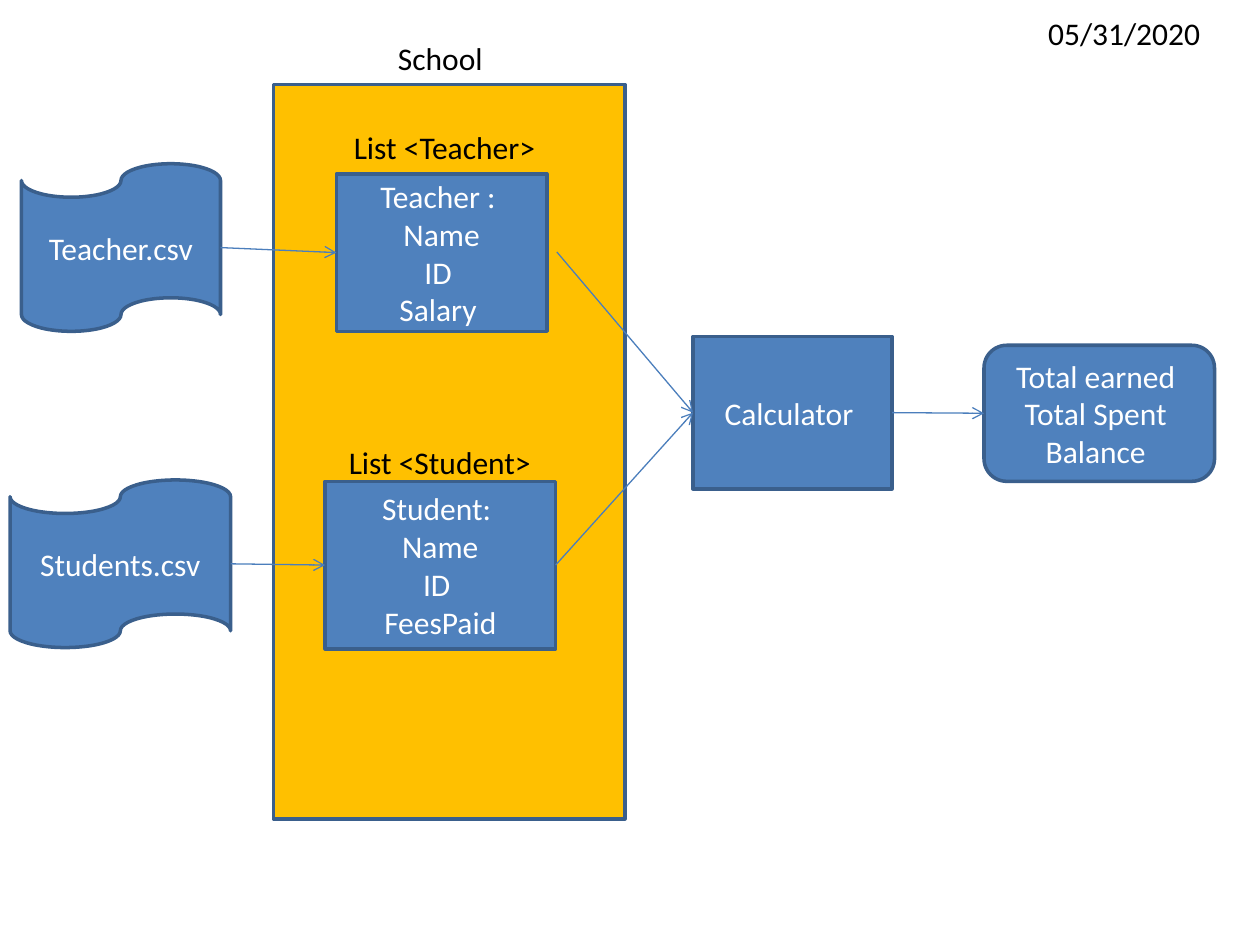
from lxml import etree
from pptx import Presentation, util as u
from pptx.dml.color import RGBColor
from pptx.enum import shapes, text
from pptx.oxml.ns import qn

BLUE, EDGE, WIRE, GOLD = "4F81BD", "3A5F8C", "4B7EBC", "FFC000"
KIND = shapes.MSO_SHAPE
TOP, LEFT, BOTTOM, RIGHT = range(4)

BOXES = {
    "school": (KIND.RECTANGLE, (2.17, 0.67, 2.79, 5.83), GOLD, []),
    "teacher": (KIND.RECTANGLE, (2.67, 1.38, 1.67, 1.25), BLUE,
                ["Teacher : ", "Name", "ID ", "Salary "]),
    "student": (KIND.RECTANGLE, (2.58, 3.82, 1.83, 1.33), BLUE,
                ["Student: ", "Name", "ID ", "FeesPaid"]),
    "totals": (KIND.ROUNDED_RECTANGLE, (7.81, 2.74, 1.83, 1.08), BLUE,
               ["Total earned ", "Total Spent ", "Balance "]),
    "teacher file": (KIND.FLOWCHART_PUNCHED_TAPE, (0.17, 1.3, 1.58, 1.33),
                     BLUE, ["Teacher.csv"]),
    "student file": (KIND.FLOWCHART_PUNCHED_TAPE, (0.08, 3.81, 1.75, 1.33),
                     BLUE, ["Students.csv"]),
    "calculator": (KIND.RECTANGLE, (5.5, 2.67, 1.58, 1.21), BLUE,
                   ["Calculator "]),
}
ARROWS = [
    ("teacher file", "teacher"),
    ("student file", "student"),
    ((4.42, 2), "calculator"),
    ("student", "calculator"),
    ("calculator", "totals"),
]
LABELS = [
    ("List <Student>", (2.67, 3.47, 1.66, 0.4)),
    ("List <Teacher>", (2.71, 0.97, 1.66, 0.4)),
    ("School", (3.06, 0.26, 0.88, 0.4)),
    ("05/31/2020", (8.22, 0.06, 1.42, 0.4)),
]


def rgb(code):
    return RGBColor.from_string(code)


def inches(area):
    return [u.Inches(n) for n in area]


def write(frame, lines, color="000000", size=18, align=None, wrap=True):
    frame.word_wrap = wrap
    for i, line in enumerate(lines):
        para = frame.add_paragraph() if i else frame.paragraphs[0]
        para.alignment = align
        run = para.add_run()
        run.text = line
        run.font.size = u.Pt(size)
        run.font.name = "Calibri"
        run.font.color.rgb = rgb(color)


def add_box(slide, kind, area, fill, lines):
    box = slide.shapes.add_shape(kind, *inches(area))
    box.shadow.inherit = False
    box.fill.solid()
    box.fill.fore_color.rgb = rgb(fill)
    box.line.color.rgb = rgb(EDGE)
    box.line.width = u.Pt(2)
    box.text_frame.vertical_anchor = text.MSO_ANCHOR.MIDDLE
    write(box.text_frame, lines, color="FFFFFF", align=text.PP_ALIGN.CENTER)
    return box


def add_arrow(slide, boxes, start, end):
    point = start if isinstance(start, tuple) else (0, 0)
    wire = slide.shapes.add_connector(
        shapes.MSO_CONNECTOR.STRAIGHT, *inches(point + point))
    if start in boxes:
        wire.begin_connect(boxes[start], RIGHT)
    wire.end_connect(boxes[end], LEFT)
    wire.line.color.rgb = rgb(WIRE)
    wire.line.width = u.Pt(0.75)
    props = wire.line._get_or_add_ln()
    etree.SubElement(props, qn("a:tailEnd"), type="arrow")
    etree.SubElement(props.getparent(), qn("a:effectLst"))


def add_label(slide, words, area):
    frame = slide.shapes.add_textbox(*inches(area)).text_frame
    write(frame, [words], wrap=False)
    frame.auto_size = text.MSO_AUTO_SIZE.SHAPE_TO_FIT_TEXT


def main():
    deck = Presentation()
    deck.slide_width, deck.slide_height = inches((10, 7.5))
    slide = deck.slides.add_slide(deck.slide_layouts[6])
    boxes = {name: add_box(slide, *spot) for name, spot in BOXES.items()}
    for start, end in ARROWS:
        add_arrow(slide, boxes, start, end)
    for words, area in LABELS:
        add_label(slide, words, area)
    deck.save("out.pptx")


if __name__ == "__main__":
    main()
